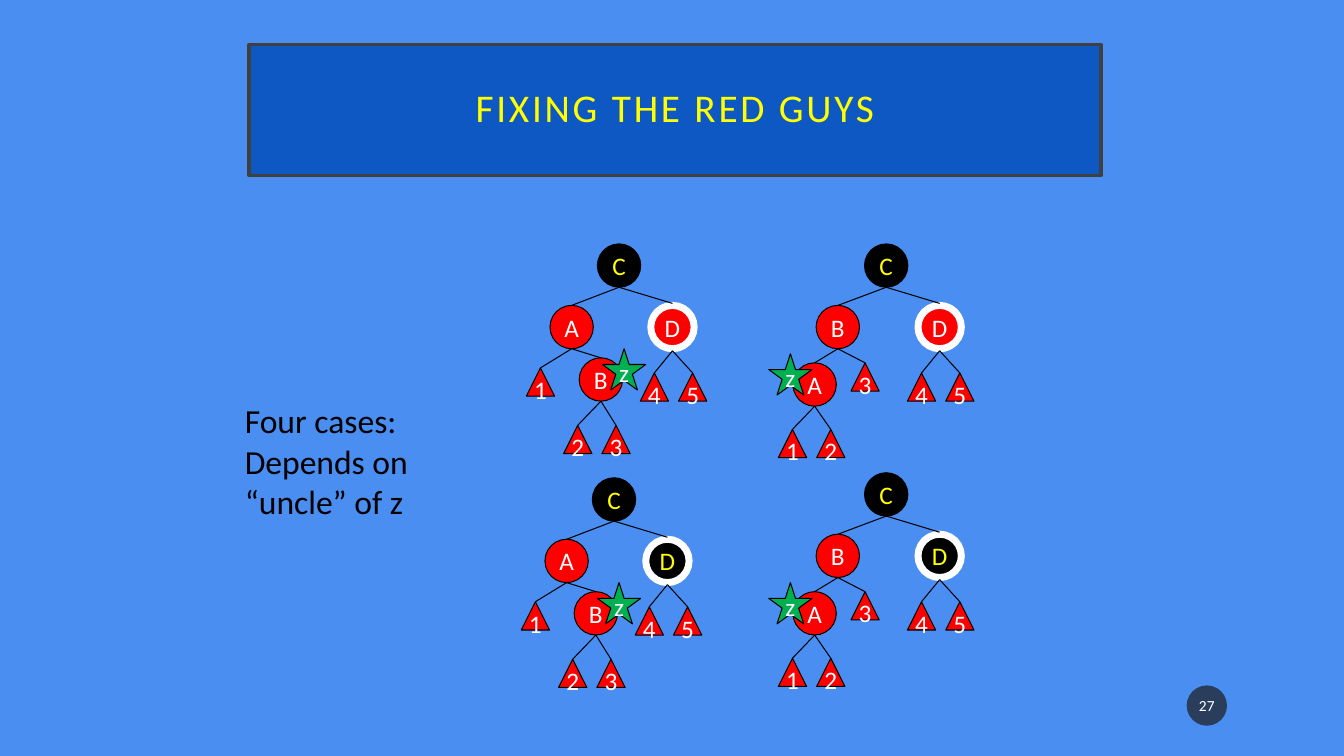
from lxml.etree import SubElement
from pptx import Presentation
from pptx.dml.color import RGBColor
from pptx.enum.shapes import MSO_CONNECTOR as Connector, MSO_SHAPE as Preset
from pptx.enum.text import MSO_ANCHOR as Anchor, MSO_AUTO_SIZE as AutoSize, PP_ALIGN as Align
from pptx.oxml.ns import qn
from pptx.util import Inches, Pt

SKY = RGBColor(0x4A, 0x8E, 0xF2)
BANNER = RGBColor(0x0E, 0x58, 0xC4)
FRAME = RGBColor(0x40, 0x40, 0x40)
BADGE = RGBColor(0x1D, 0x1D, 0x1D)
BLACK = RGBColor(0, 0, 0)
WHITE = RGBColor(0xFF, 0xFF, 0xFF)
RED = RGBColor(0xFF, 0, 0)
YELLOW = RGBColor(0xFF, 0xFF, 0)
GREEN = RGBColor(0, 0xB0, 0x50)

NODE, LEAF = 0.43, 0.28
STAR = (0.43, 0.41)
RING_GAP = 0.02
ROOT = (0, 0)
UNCLE = (0.53, 0.61)
UNCLE_LEAVES = {"4": (0.35, 1.28), "5": (0.73, 1.28)}

INNER_CASE = {
    "nodes": {"C": ROOT, "B": (-0.18, 1.13), "A": (-0.47, 0.61), "D": UNCLE},
    "leaves": {"1": (-0.78, 1.23), "2": (-0.41, 1.8), "3": (-0.03, 1.8), **UNCLE_LEAVES},
    "edges": ("CA", "CD", "AB", "B2", "B3", "D4", "D5", "A1"),
    "star": (0.05, 1.04),
}
OUTER_CASE = {
    "nodes": {"C": ROOT, "A": (-0.71, 1.18), "B": (-0.48, 0.61), "D": UNCLE},
    "leaves": {"1": (-0.93, 1.84), "2": (-0.55, 1.84), "3": (-0.21, 1.18), **UNCLE_LEAVES},
    "edges": ("CB", "CD", "BA", "A1", "A2", "D4", "D5", "B3"),
    "star": (-0.95, 1.09),
}
TREES = (
    (INNER_CASE, 6.14, 2.42, RED),
    (OUTER_CASE, 8.79, 2.42, RED),
    (INNER_CASE, 6.09, 4.74, BLACK),
    (OUTER_CASE, 8.79, 4.69, BLACK),
)


def apply_format(target, values):
    """Set each named attribute of the target."""
    for name, value in values.items():
        setattr(target, name, value)


def write(paragraph, wording, size, color):
    """Add one formatted run to a paragraph and return it."""
    run = paragraph.add_run()
    apply_format(run, {"text": wording})
    apply_format(run.font, {"name": "Calibri", "size": Pt(size)})
    run.font.color.rgb = color
    return run


def paint(shape, fill, line, width):
    """Give a shape a solid fill and outline."""
    shape.fill.solid()
    shape.fill.fore_color.rgb = fill
    shape.line.color.rgb = line
    shape.line.width = Pt(width)


def add_mark(shapes, preset, center, top, size, label, fill, line=BLACK, width=0.75):
    """Add a labelled tree part centred on a horizontal position."""
    across, down = size
    mark = shapes.add_shape(preset, Inches(center - across / 2), Inches(top),
                            Inches(across), Inches(down))
    mark.shadow.inherit = False
    paint(mark, fill, line, width)
    apply_format(mark.text_frame, {"word_wrap": False, "vertical_anchor": Anchor.MIDDLE})
    paragraph = mark.text_frame.paragraphs[0]
    paragraph.alignment = Align.CENTER
    write(paragraph, label, 18, YELLOW if fill == BLACK else WHITE)


def add_edge(shapes, start, end):
    """Add a thin black line between two points."""
    edge = shapes.add_connector(Connector.STRAIGHT, *map(Inches, start + end))
    edge.line.color.rgb = BLACK
    edge.line.width = Pt(0.75)
    SubElement(edge._element.spPr, qn("a:effectLst"))


def add_tree(slide, case, root_x, root_y, uncle_color):
    """Add one case as a grouped red-black tree."""
    shapes = slide.shapes.add_group_shape().shapes
    places = {label: (root_x + dx, root_y + dy)
              for label, (dx, dy) in {**case["nodes"], **case["leaves"]}.items()}
    colors = {"A": RED, "B": RED, "C": BLACK, "D": uncle_color}
    for label in case["nodes"]:
        ring = {"line": WHITE, "width": 5} if label == "D" else {}
        add_mark(shapes, Preset.OVAL, *places[label], (NODE, NODE), label, colors[label], **ring)
    for parent, child in case["edges"]:
        (from_x, from_y), (to_x, to_y) = places[parent], places[child]
        below = RING_GAP if parent == "D" else 0
        above = RING_GAP if child == "D" else 0
        add_edge(shapes, (from_x, from_y + NODE + below), (to_x, to_y - above))
    for label in case["leaves"]:
        add_mark(shapes, Preset.ISOSCELES_TRIANGLE, *places[label], (LEAF, LEAF), label, RED)
    star_x, star_y = case["star"]
    add_mark(shapes, Preset.STAR_5_POINT, root_x + star_x, root_y + star_y, STAR, "z", GREEN)


def add_title(slide, wording):
    """Format the title placeholder as a framed banner."""
    title = slide.shapes.title
    apply_format(title, {"left": Inches(2.47), "top": Inches(0.44),
                         "width": Inches(8.45), "height": Inches(1.3)})
    paint(title, BANNER, FRAME, 2.5)
    margins = {f"margin_{side}": Inches(0.2) for side in ("left", "top", "right", "bottom")}
    apply_format(title.text_frame, {"word_wrap": True, "auto_size": AutoSize.NONE,
                                    "vertical_anchor": Anchor.MIDDLE, **margins})
    paragraph = title.text_frame.paragraphs[0]
    apply_format(paragraph, {"alignment": Align.CENTER, "line_spacing": 0.9})
    run = write(paragraph, wording, 28, YELLOW)
    run._r.get_or_add_rPr().set("spc", "200")


def add_page_badge(slide, number):
    """Add the translucent round page number."""
    badge = slide.shapes.add_shape(Preset.OVAL, Inches(11.77), Inches(6.8),
                                   Inches(0.4), Inches(0.4))
    badge.shadow.inherit = False
    badge.fill.solid()
    badge.fill.fore_color.rgb = BADGE
    tint = badge._element.spPr.find(qn("a:solidFill"))[0]
    SubElement(tint, qn("a:alpha")).set("val", "70000")
    badge.line.fill.background()
    apply_format(badge.text_frame, {"vertical_anchor": Anchor.MIDDLE, "word_wrap": True,
                                    "margin_left": Inches(0.02), "margin_right": Inches(0.02)})
    paragraph = badge.text_frame.paragraphs[0]
    paragraph.alignment = Align.CENTER
    write(paragraph, number, 11, WHITE)


def add_remark(slide, lines):
    """Add the remark beside the trees, one paragraph a line."""
    remark = slide.shapes.add_textbox(Inches(2.33), Inches(3.92), Inches(1.84), Inches(1.31))
    frame = remark.text_frame
    apply_format(frame, {"word_wrap": False, "auto_size": AutoSize.SHAPE_TO_FIT_TEXT})
    for index, wording in enumerate(lines):
        paragraph = frame.add_paragraph() if index else frame.paragraphs[0]
        paragraph.alignment = Align.LEFT
        write(paragraph, wording, 24, BLACK)


def main():
    """Build and save the slide."""
    deck = Presentation()
    apply_format(deck, {"slide_width": Inches(13.33), "slide_height": Inches(7.5)})
    slide = deck.slides.add_slide(deck.slide_layouts[5])
    slide.background.fill.solid()
    slide.background.fill.fore_color.rgb = SKY
    add_page_badge(slide, "27")
    add_title(slide, "FIXING THE RED GUYS")
    for tree in TREES:
        add_tree(slide, *tree)
    add_remark(slide, ("Four cases:", "Depends on", "“uncle” of z"))
    deck.save("out.pptx")


if __name__ == "__main__":
    main()
